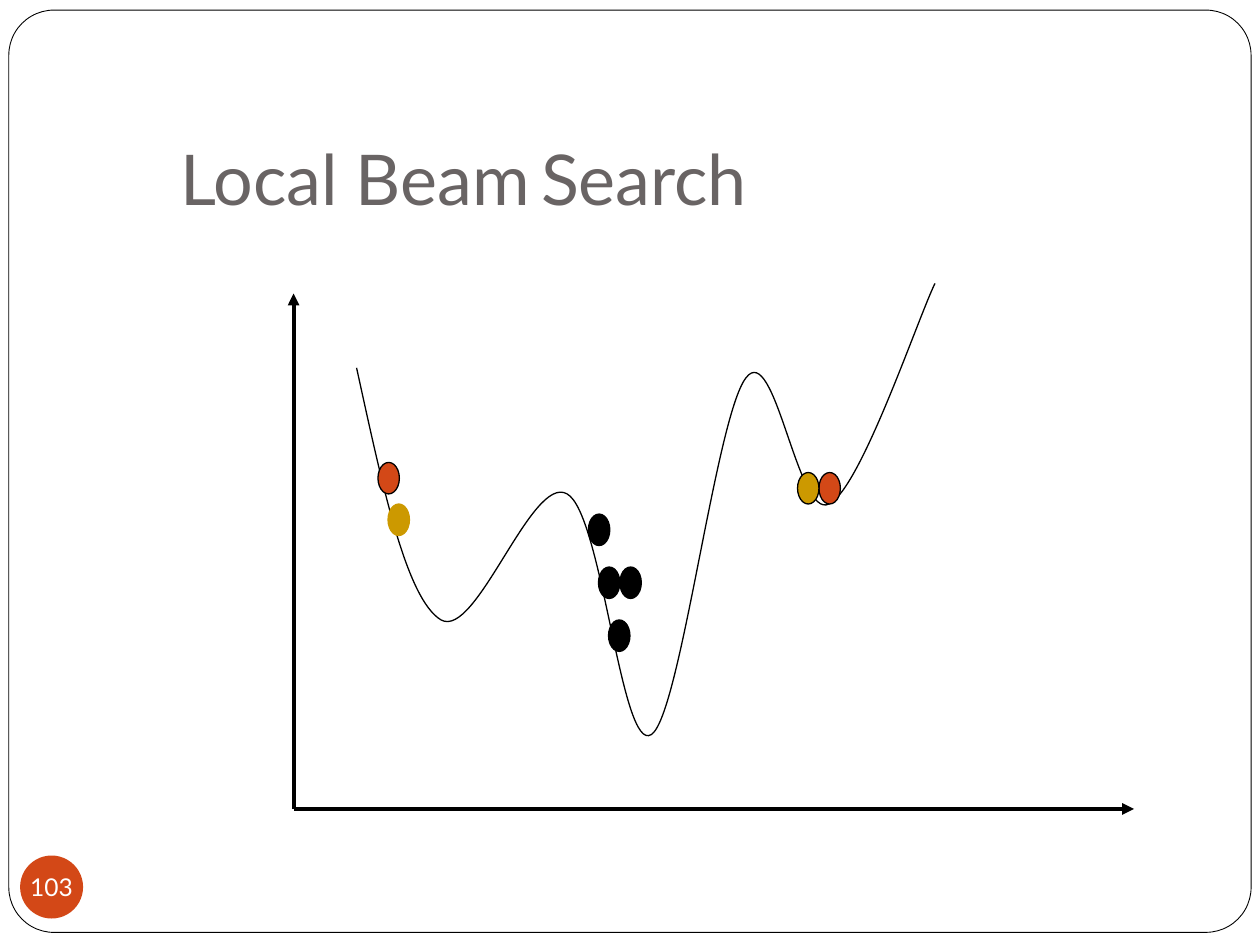
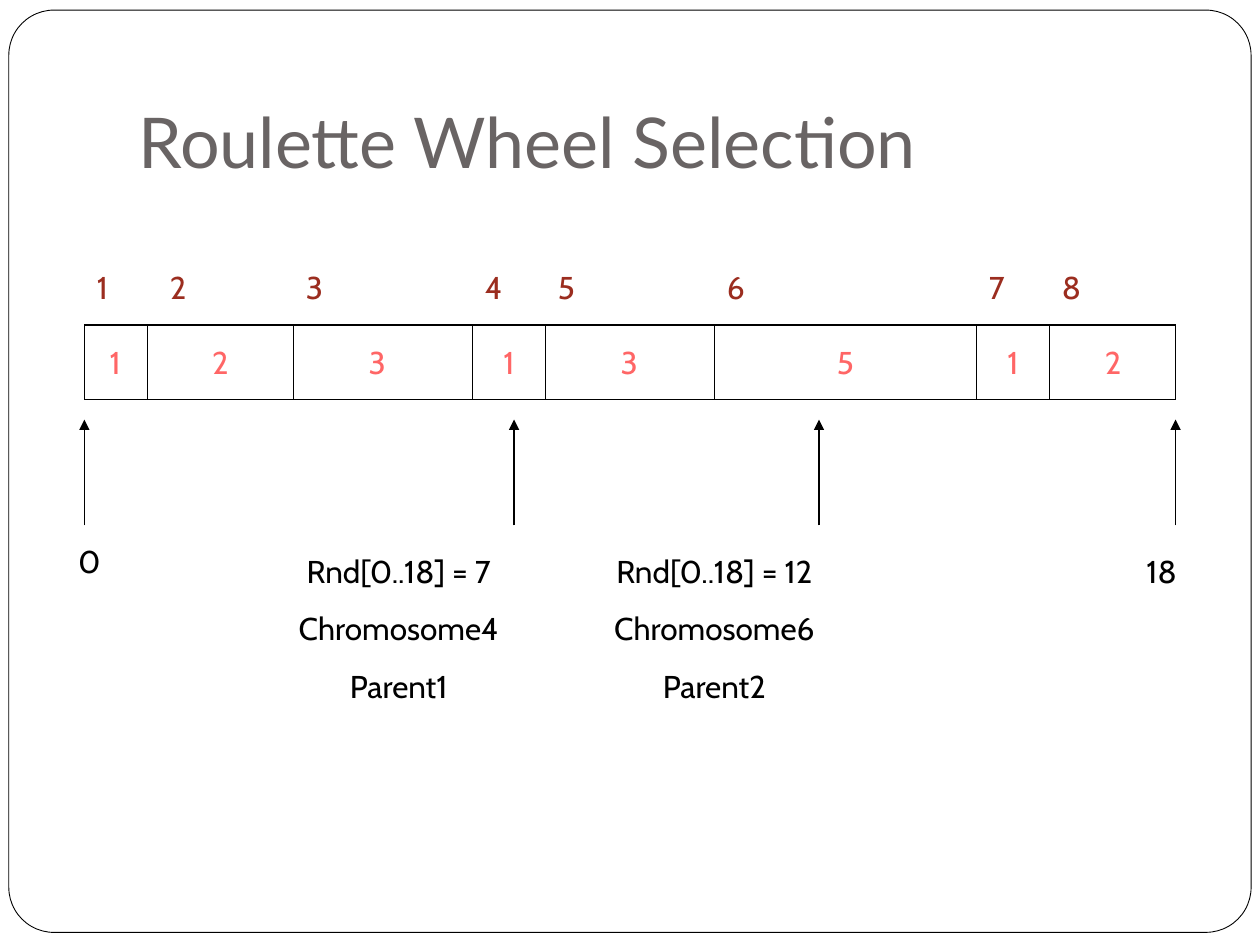
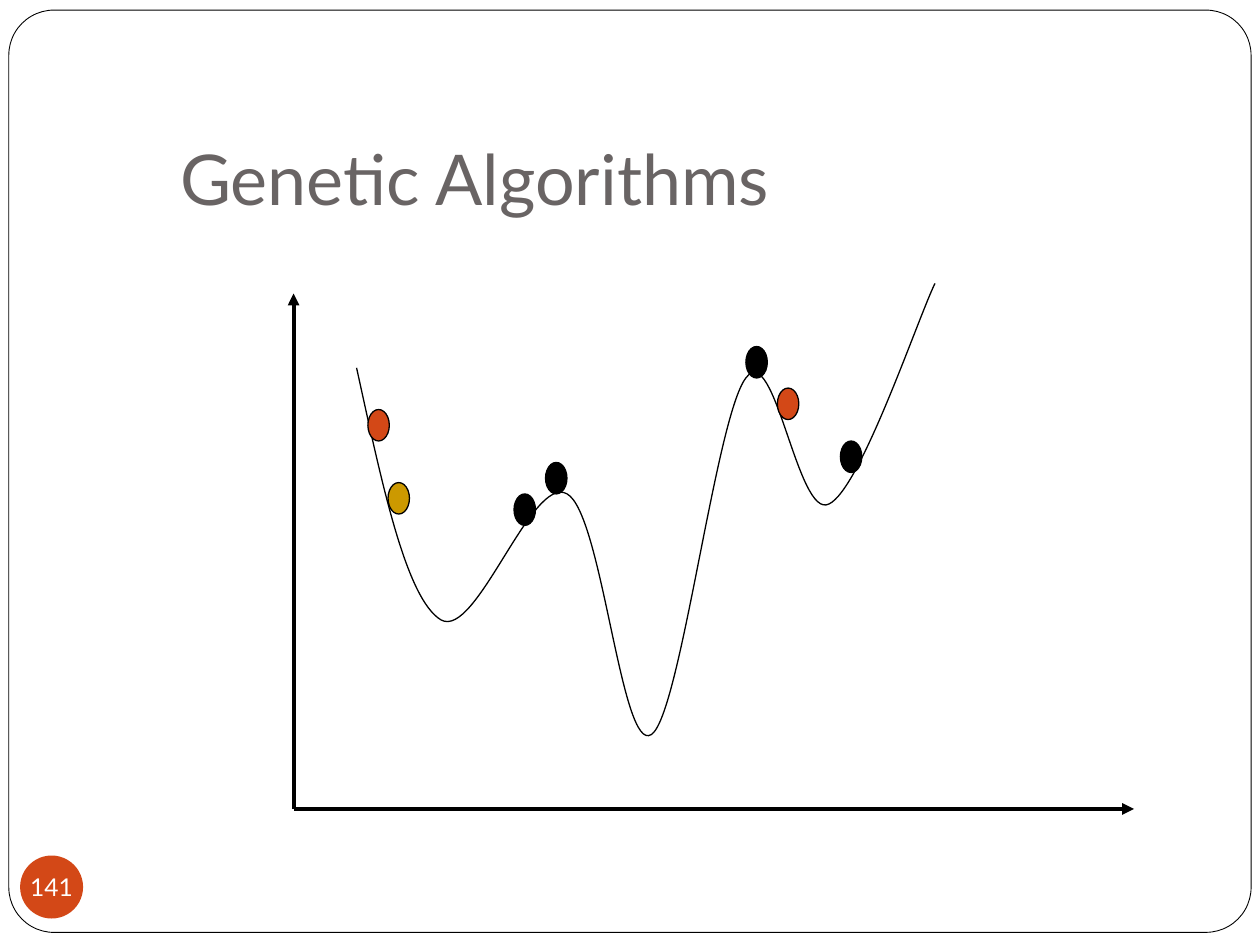
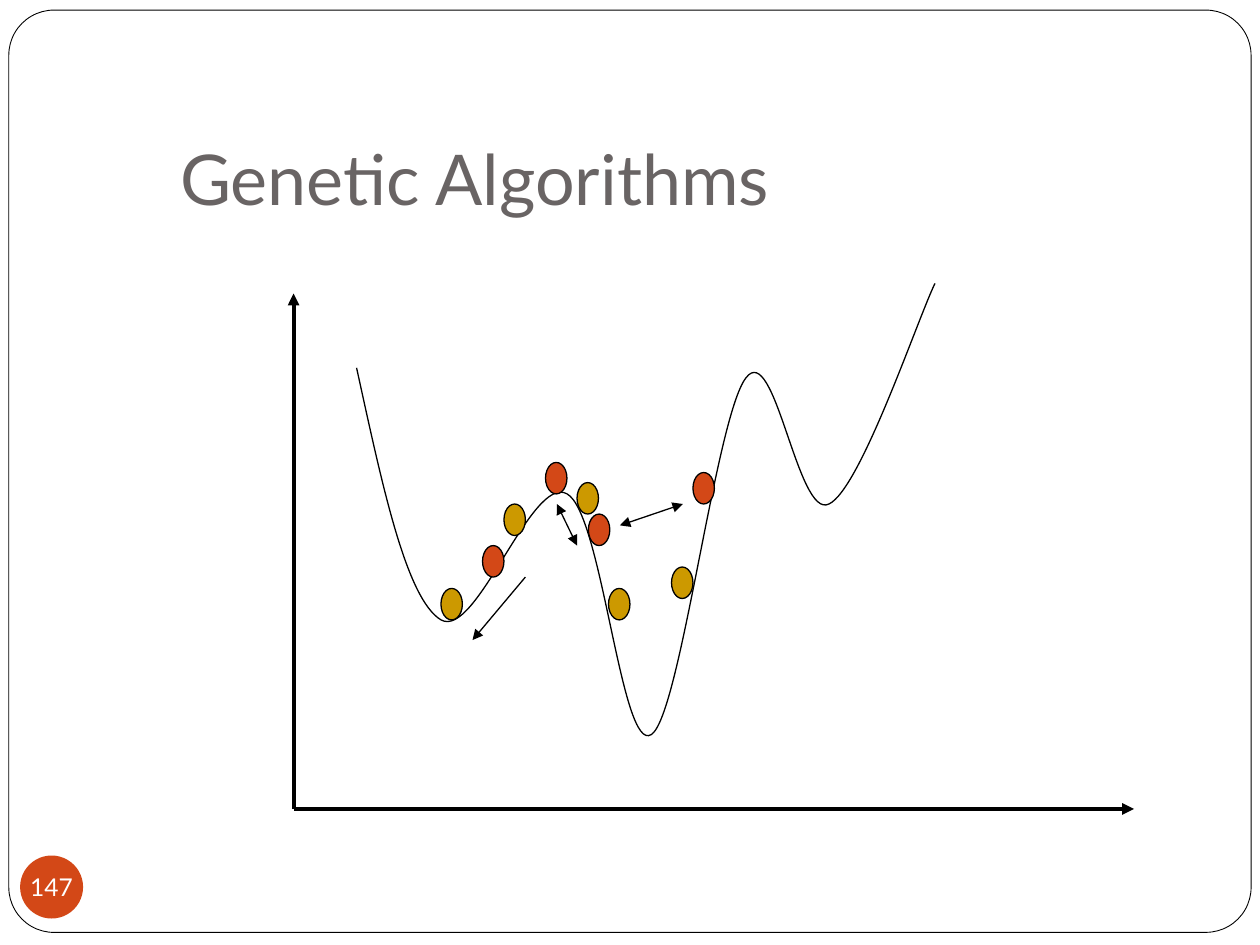
from lxml import etree
from pptx import Presentation
from pptx.dml.color import RGBColor
from pptx.enum.shapes import MSO_CONNECTOR as Connector, MSO_SHAPE as Shape
from pptx.enum.text import MSO_ANCHOR as Anchor, MSO_AUTO_SIZE as AutoSize, PP_ALIGN as Align
from pptx.oxml.ns import qn
from pptx.util import Inches, Pt

COLORS = {
    "black": "000000",
    "white": "FFFFFF",
    "title": "696464",
    "orange": "D34817",
    "gold": "CC9900",
    "index": "9B2D1F",
    "fitness": "FF6666",
}
TITLE_FONT = "Lato"
LABEL_FONT = "Cabin"

CURVE = [
    (2.83, 2.92),
    (3.03, 3.83), (3.22, 4.75), (3.5, 4.92),
    (3.78, 5.08), (4.22, 3.76), (4.5, 3.92),
    (4.78, 4.07), (4.93, 5.99), (5.17, 5.83),
    (5.4, 5.68), (5.68, 3.31), (5.92, 3),
    (6.15, 2.69), (6.33, 4.13), (6.58, 4),
    (6.83, 3.88), (7.28, 2.54), (7.42, 2.25),
]

WHEEL_EDGES = [0.67, 1.17, 2.33, 3.75, 4.33, 5.67, 7.75, 8.33, 9.33]
WHEEL_TOP, WHEEL_BOTTOM = 2.58, 3.17
INDEX_LEFTS = [0.67, 1.25] + WHEEL_EDGES[2:-1]
FITNESS_BOXES = [
    (1, 0.75, 0.33), (2, 1.25, 1), (3, 2.33, 1.33), (1, 3.75, 0.58),
    (3, 4.33, 1.33), (5, 5.67, 2.08), (1, 7.75, 0.58), (2, 8.42, 0.83),
]


def rgb(name):
    return RGBColor.from_string(COLORS[name])


def set_font(font, name, size, color):
    font.name = name
    font.size = Pt(size)
    font.color.rgb = rgb(color)


def add_shape(slide, kind, box, fill, line=None, weight=0.75):
    shape = slide.shapes.add_shape(kind, *map(Inches, box))
    shape.shadow.inherit = False
    shape.fill.solid()
    shape.fill.fore_color.rgb = rgb(fill)
    if line:
        shape.line.color.rgb = rgb(line)
        shape.line.width = Pt(weight)
    else:
        shape.line.fill.background()
    return shape


def add_line(slide, start, end, weight=0.75, arrows=()):
    line = slide.shapes.add_connector(Connector.STRAIGHT, *map(Inches, start + end))
    line.line.color.rgb = rgb("black")
    line.line.width = Pt(weight)
    outline = line.line._get_or_add_ln()
    for arrow in arrows:
        etree.SubElement(outline, qn(f"a:{arrow}"), type="triangle")
    etree.SubElement(line._element.spPr, qn("a:effectLst"))


def add_label(slide, lines, box, color="black", align=Align.CENTER):
    frame = slide.shapes.add_textbox(*map(Inches, box)).text_frame
    frame.word_wrap = True
    frame.text = "\n".join(lines)
    for number, paragraph in enumerate(frame.paragraphs):
        paragraph.alignment = align
        if number:
            paragraph.space_before = Pt(11.2)
        set_font(paragraph.font, LABEL_FONT, 18, color)


def add_frame(slide, layout):
    frame = add_shape(slide, Shape.ROUNDED_RECTANGLE, (0.07, 0.08, 9.86, 7.32), "white", "black", 0.5)
    frame.adjustments[0] = 0.049
    layout.shapes._spTree.insert(2, frame._element)


def set_title(slide, words, box=(1.33, 0.94, 8.52, 0.9)):
    title = slide.shapes.title
    title.left, title.top, title.width, title.height = map(Inches, box)
    frame = title.text_frame
    frame.auto_size = AutoSize.NONE
    frame.vertical_anchor = Anchor.BOTTOM
    frame.margin_bottom = Inches(0.1)
    paragraph = frame.paragraphs[0]
    paragraph.alignment = Align.LEFT
    set_font(paragraph.font, TITLE_FONT, 40, "title")
    for word in words:
        run = paragraph.add_run()
        run.text = word
        if word == " ":
            set_font(run.font, TITLE_FONT, 28, "index")
            run.font.italic = True


def add_page_number(slide, number):
    badge = add_shape(slide, Shape.OVAL, (0.16, 6.79, 0.5, 0.5), "orange")
    frame = badge.text_frame
    frame.word_wrap = False
    frame.vertical_anchor = Anchor.MIDDLE
    frame.margin_left = frame.margin_right = frame.margin_top = frame.margin_bottom = 0
    paragraph = frame.paragraphs[0]
    paragraph.text = str(number)
    paragraph.alignment = Align.CENTER
    set_font(paragraph.font, TITLE_FONT, 14, "white")


def add_curve(slide):
    points = [(Inches(x), Inches(y)) for x, y in CURVE]
    builder = slide.shapes.build_freeform(*points[0])
    builder.add_line_segments(points[1:], close=False)
    curve = builder.convert_to_shape()
    curve.shadow.inherit = False
    curve.fill.background()
    curve.line.color.rgb = rgb("black")
    curve.line.width = Pt(0.75)
    segments = list(curve._element.iter(qn("a:lnTo")))
    outline = segments[0].getparent()
    for first in range(0, len(segments), 3):
        bezier = etree.SubElement(outline, qn("a:cubicBezTo"))
        for segment in segments[first:first + 3]:
            bezier.append(segment[0])
            outline.remove(segment)


def add_balls(slide, fill, positions, line="black"):
    for left, top in positions:
        add_shape(slide, Shape.OVAL, (left, top, 0.17, 0.25), fill, line)


def add_landscape_slide(presentation, layout, words, number):
    slide = presentation.slides.add_slide(layout)
    set_title(slide, words)
    add_page_number(slide, number)
    add_line(slide, (2.33, 2.33), (2.33, 6.42), 2.25, ["headEnd"])
    add_line(slide, (2.33, 6.42), (9, 6.42), 2.25, ["tailEnd"])
    add_curve(slide)
    return slide


def add_beam_search(presentation, layout):
    slide = add_landscape_slide(presentation, layout, ["Local Beam", " ", "Search"], 103)
    add_balls(slide, "black", [(4.67, 4.08), (4.75, 4.5), (4.83, 4.92), (4.92, 4.5)])
    add_balls(slide, "orange", [(3, 3.67), (6.5, 3.75)])
    add_balls(slide, "gold", [(3.08, 4)], "gold")
    add_balls(slide, "gold", [(6.33, 3.75)])
    return slide


def add_roulette_wheel(presentation, layout):
    slide = presentation.slides.add_slide(layout)
    set_title(slide, ["Roulette Wheel Selection"], (1, 0.3, 8.5, 1.25))
    for y in (WHEEL_TOP, WHEEL_BOTTOM):
        add_line(slide, (WHEEL_EDGES[0], y), (WHEEL_EDGES[-1], y))
    for x in WHEEL_EDGES:
        add_line(slide, (x, WHEEL_TOP), (x, WHEEL_BOTTOM))
    for fitness, left, width in FITNESS_BOXES:
        add_label(slide, [str(fitness)], (left, 2.67, width, 0.4), "fitness")
    for index, left in enumerate(INDEX_LEFTS, 1):
        add_label(slide, [str(index)], (left, 2.08, 0.58, 0.4), "index", Align.LEFT)
    for x in (WHEEL_EDGES[0], 4.08, 6.5, WHEEL_EDGES[-1]):
        add_line(slide, (x, 4.17), (x, 3.33), arrows=["tailEnd"])
    add_label(slide, ["0"], (0.25, 4.25, 0.92, 0.4))
    add_label(slide, ["18"], (9, 4.33, 0.67, 0.4), align=Align.LEFT)
    add_label(slide, ["Rnd[0..18] = 7", "Chromosome4", "Parent1"], (2, 4.33, 2.33, 1.32))
    add_label(slide, ["Rnd[0..18] = 12", "Chromosome6", "Parent2"], (4.42, 4.33, 2.5, 1.32))


def add_initial_population(presentation, layout):
    slide = add_landscape_slide(presentation, layout, ["Genetic Algorithms"], 141)
    add_balls(slide, "orange", [(2.92, 3.25), (6.17, 3.08)])
    add_balls(slide, "black", [(4.08, 3.92), (6.67, 3.5), (4.33, 3.67), (5.92, 2.75)])
    add_balls(slide, "gold", [(3.08, 3.83)])


def add_crossover(presentation, layout):
    slide = add_landscape_slide(presentation, layout, ["Genetic Algorithms"], 147)
    both_ends = ["headEnd", "tailEnd"]
    add_balls(slide, "orange", [(4.33, 3.67), (3.83, 4.33), (4.67, 4.08), (5.5, 3.75)])
    add_line(slide, (4.92, 4.17), (5.42, 4), arrows=both_ends)
    add_line(slide, (4.17, 4.58), (3.75, 5.08), arrows=["tailEnd"])
    add_line(slide, (4.42, 4), (4.58, 4.33), arrows=both_ends)
    add_balls(slide, "gold", [(3.5, 4.67), (4.83, 4.67), (5.33, 4.5), (4, 4), (4.58, 3.83)])


def main():
    presentation = Presentation()
    presentation.slide_width = Inches(10)
    presentation.slide_height = Inches(7.5)
    layout = presentation.slide_layouts[5]
    first_slide = add_beam_search(presentation, layout)
    add_frame(first_slide, layout)
    add_roulette_wheel(presentation, layout)
    add_initial_population(presentation, layout)
    add_crossover(presentation, layout)
    presentation.save("out.pptx")


if __name__ == "__main__":
    main()
